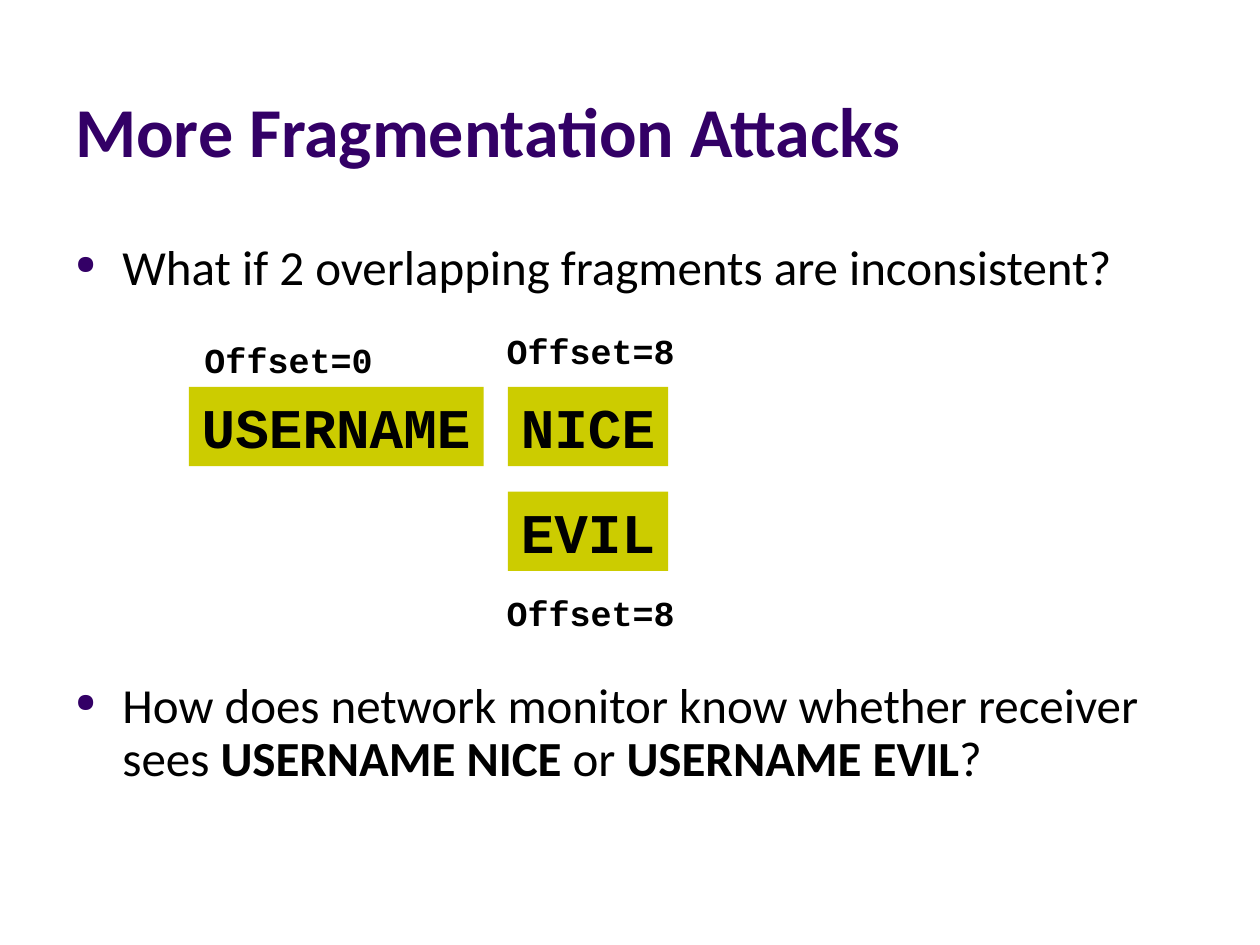
from dataclasses import dataclass

from lxml import etree
from pptx import Presentation
from pptx.dml.color import RGBColor
from pptx.enum.shapes import MSO_SHAPE
from pptx.enum.text import MSO_ANCHOR, MSO_AUTO_SIZE, PP_ALIGN
from pptx.oxml.ns import qn
from pptx.util import Cm, Pt

RECTANGLE = MSO_SHAPE.RECTANGLE
TOP, MIDDLE, BOTTOM = MSO_ANCHOR.TOP, MSO_ANCHOR.MIDDLE, MSO_ANCHOR.BOTTOM
LEFT, CENTER = PP_ALIGN.LEFT, PP_ALIGN.CENTER
FIXED, GROW = MSO_AUTO_SIZE.NONE, MSO_AUTO_SIZE.SHAPE_TO_FIT_TEXT

COLORS = {"heading": "330066", "text": "000000", "fragment": "CCCC00"}
BODY_FONT, CODE_FONT = "Calibri", "Courier New"
BULLET_INDENT = Cm(0.95)
FRAGMENT_HEIGHT = 1.6
LABEL_WIDTH, LABEL_HEIGHT = 3.92, 1.09
FIRST_ROW, SECOND_ROW = 7.8, 9.91
OVERLAP_LEFT, OVERLAP_WIDTH, OVERLAP_LABEL_LEFT = 10.24, 3.23, 9.95


@dataclass
class Fragment:
    """A packet fragment and its offset label, in centimetres."""
    payload: str
    left: float
    top: float
    width: float
    offset: int
    label_left: float
    label_top: float


FRAGMENTS = [
    Fragment("USERNAME", 3.81, FIRST_ROW, 5.94, 0, 3.86, 6.71),
    Fragment("NICE", OVERLAP_LEFT, FIRST_ROW, OVERLAP_WIDTH, 8, OVERLAP_LABEL_LEFT, 6.53),
    Fragment("EVIL", OVERLAP_LEFT, SECOND_ROW, OVERLAP_WIDTH, 8, OVERLAP_LABEL_LEFT, 11.81),
]

# Each question is a list of (text, bold) runs
QUESTIONS = [
    [("What if 2 overlapping fragments are inconsistent?", False)],
    [("How does network monitor know whether receiver sees ", False),
     ("USERNAME NICE", True), (" or ", False), ("USERNAME EVIL", True), ("?", False)],
]


def add_bullet(paragraph) -> None:
    props = paragraph._p.get_or_add_pPr()
    props.set("marL", str(BULLET_INDENT))
    props.set("indent", str(-BULLET_INDENT))
    color = etree.SubElement(props, qn("a:buClr"))
    etree.SubElement(color, qn("a:srgbClr"), val=COLORS["heading"])
    etree.SubElement(props, qn("a:buSzPct"), val="53000")
    etree.SubElement(props, qn("a:buChar"), char="●")


def write(shape, paragraphs: list, *, size: float, font: str = BODY_FONT,
          color: str = "text", align=LEFT, anchor=TOP, wrap: bool = True,
          bullets: bool = False, line_spacing: float = 1.0, gap: float = 0) -> None:
    frame = shape.text_frame
    frame.word_wrap = wrap
    frame.auto_size = FIXED if wrap else GROW
    frame.vertical_anchor = anchor
    for index, runs in enumerate(paragraphs):
        paragraph = frame.add_paragraph() if index else frame.paragraphs[0]
        if bullets:
            add_bullet(paragraph)
        paragraph.alignment = align
        paragraph.line_spacing = line_spacing
        if index:
            paragraph.space_before = Pt(gap)
        for text, bold in runs:
            run = paragraph.add_run()
            run.text = text
            run.font.name = font
            run.font.size = Pt(size)
            run.font.bold = bold
            run.font.color.rgb = RGBColor.from_string(COLORS[color])


def add_text_box(slide, left: float, top: float, width: float, height: float):
    return slide.shapes.add_textbox(Cm(left), Cm(top), Cm(width), Cm(height))


def draw_fragment(slide, fragment: Fragment) -> None:
    code = {"font": CODE_FONT, "align": CENTER, "anchor": MIDDLE, "wrap": False}
    block = slide.shapes.add_shape(RECTANGLE, Cm(fragment.left), Cm(fragment.top),
                                   Cm(fragment.width), Cm(FRAGMENT_HEIGHT))
    block.shadow.inherit = False
    block.fill.solid()
    block.fill.fore_color.rgb = RGBColor.from_string(COLORS["fragment"])
    block.line.fill.background()
    write(block, [[(fragment.payload, True)]], size=32, **code)

    label = add_text_box(slide, fragment.label_left, fragment.label_top,
                         LABEL_WIDTH, LABEL_HEIGHT)
    write(label, [[(f"Offset={fragment.offset}", True)]], size=20, **code)


def main() -> None:
    presentation = Presentation()
    presentation.slide_width, presentation.slide_height = Cm(25.4), Cm(19.05)
    slide = presentation.slides.add_slide(presentation.slide_layouts[6])

    # Heading
    heading = add_text_box(slide, 1.27, 0.33, 22.86, 3.25)
    write(heading, [[("More Fragmentation Attacks", True)]], size=40,
          color="heading", anchor=BOTTOM)

    # Questions, with room between them for the fragments
    questions = add_text_box(slide, 1.27, 4.78, 23.7, 12.24)
    write(questions, QUESTIONS, size=28, bullets=True, line_spacing=0.9, gap=220)

    # Overlapping fragments
    for fragment in FRAGMENTS:
        draw_fragment(slide, fragment)

    presentation.save("out.pptx")


if __name__ == "__main__":
    main()
